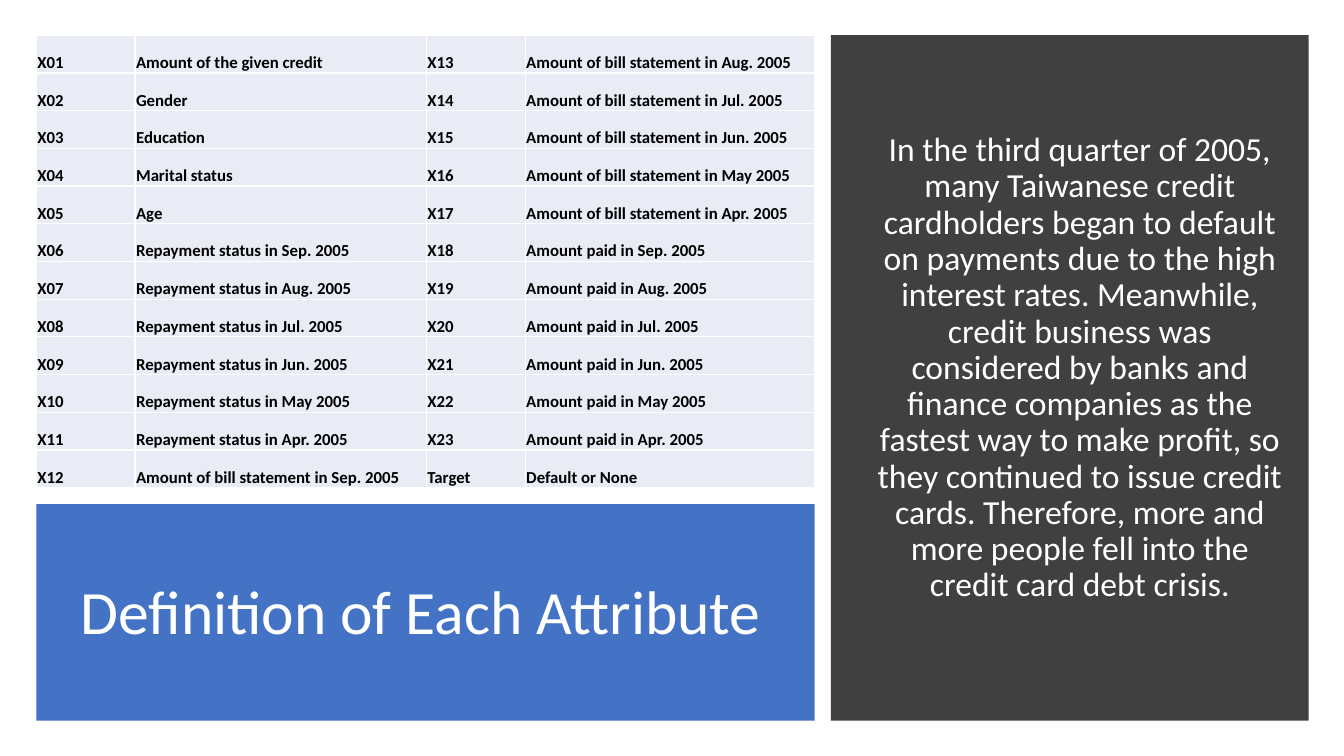
from lxml.etree import SubElement
from pptx import Presentation
from pptx.dml.color import RGBColor
from pptx.enum.shapes import MSO_SHAPE
from pptx.enum.text import MSO_ANCHOR as ANCHOR, MSO_AUTO_SIZE, PP_ALIGN as ALIGN
from pptx.oxml.ns import qn
from pptx.util import Emu, Pt

WHITE = RGBColor(0xFF, 0xFF, 0xFF)
BLACK = RGBColor(0x00, 0x00, 0x00)
DARK = RGBColor(0x40, 0x40, 0x40)
BLUE = RGBColor(0x44, 0x72, 0xC4)
PALE = RGBColor(0xE9, 0xEB, 0xF5)
FONT = "Calibri"
EMU_PER_PX = 9144  # 100 px to the inch

TITLE = "Definition of Each Attribute"
STORY = (
    "In the third quarter of 2005, many Taiwanese credit cardholders began to "
    "default on payments due to the high interest rates. Meanwhile, credit "
    "business was considered by banks and finance companies as the fastest way "
    "to make profit, so they continued to issue credit cards. Therefore, more "
    "and more people fell into the credit card debt crisis."
)
MONTHS = ["Sep.", "Aug.", "Jul.", "Jun.", "May", "Apr."]
PERSONAL = ["Amount of the given credit", "Gender", "Education", "Marital status", "Age"]
MONTHLY = ["Repayment status", "Amount of bill statement", "Amount paid"]
COLUMN_WIDTHS = [98, 289, 98, 287]
ROW_COUNT = 12


def px(n):
    return Emu(round(n * EMU_PER_PX))


def write(tf, text, *, size, color, bold=False, align=ALIGN.LEFT,
          line_spacing=None, space_before=0):
    p = tf.paragraphs[0]
    p.alignment = align
    p.line_spacing = line_spacing
    p.space_before = Pt(space_before)
    r = p.add_run()
    r.text = text
    r.font.name = FONT
    r.font.size = Pt(size)
    r.font.bold = bold
    r.font.color.rgb = color


def add_panel(slide, box, color):
    sp = slide.shapes.add_shape(MSO_SHAPE.RECTANGLE, *map(px, box))
    sp.shadow.inherit = False
    sp.fill.solid()
    sp.fill.fore_color.rgb = color
    sp.line.fill.background()


def fill_placeholder(sp, box, text, **style):
    """Place the placeholder in front of the panels and write its text."""
    sp.left, sp.top, sp.width, sp.height = map(px, box)
    sp.element.getparent().append(sp.element)
    tf = sp.text_frame
    tf.word_wrap = True
    tf.auto_size = MSO_AUTO_SIZE.NONE
    tf.vertical_anchor = ANCHOR.MIDDLE
    write(tf, text, color=WHITE, align=ALIGN.CENTER, line_spacing=0.9, **style)


def remove_bullet(p):
    pPr = p._p.get_or_add_pPr()
    pPr.set("marL", "0")
    pPr.set("indent", "0")
    SubElement(pPr, qn("a:buNone"))


def add_borders(cell, color):
    tcPr = cell._tc.get_or_add_tcPr()
    for i, side in enumerate(("lnL", "lnR", "lnT", "lnB")):
        ln = SubElement(tcPr, qn(f"a:{side}"), w=str(Pt(1)))
        fill = SubElement(ln, qn("a:solidFill"))
        SubElement(fill, qn("a:srgbClr"), val=str(color))
        tcPr.insert(i, ln)  # borders come before the cell's fill


def list_attributes():
    """Return (code, meaning) for X01 to X23 and the target."""
    meanings = PERSONAL + [f"{what} in {month} 2005" for what in MONTHLY for month in MONTHS]
    coded = [(f"X{n:02}", meaning) for n, meaning in enumerate(meanings, 1)]
    return coded + [("Target", "Default or None")]


def add_attribute_table(slide, box):
    frame = slide.shapes.add_table(ROW_COUNT, len(COLUMN_WIDTHS), *map(px, box))
    table = frame.table
    table.first_row = table.horz_banding = False
    for column, width in zip(table.columns, COLUMN_WIDTHS):
        column.width = px(width)
    attributes = list_attributes()
    for i in range(ROW_COUNT):
        row = attributes[i] + attributes[i + ROW_COUNT]
        for j, text in enumerate(row):
            cell = table.cell(i, j)
            cell.margin_left = cell.margin_right = cell.margin_top = px(1)
            cell.margin_bottom = 0
            cell.vertical_anchor = ANCHOR.BOTTOM
            cell.fill.solid()
            cell.fill.fore_color.rgb = PALE
            add_borders(cell, WHITE)
            write(cell.text_frame, text, size=12, color=BLACK, bold=True)


def main():
    prs = Presentation()
    prs.slide_width, prs.slide_height = px(1333), px(750)
    slide = prs.slides.add_slide(prs.slide_layouts[1])
    title, body = slide.placeholders
    add_panel(slide, (824, 35, 474, 680), DARK)
    add_panel(slide, (36, 500, 772, 215), BLUE)
    fill_placeholder(title, (57, 521, 721, 178), TITLE, size=44)
    fill_placeholder(body, (860, 100, 422, 531), STORY, size=24, space_before=10)
    remove_bullet(body.text_frame.paragraphs[0])
    add_attribute_table(slide, (36, 35, 772, 449))
    prs.save("out.pptx")


if __name__ == "__main__":
    main()
